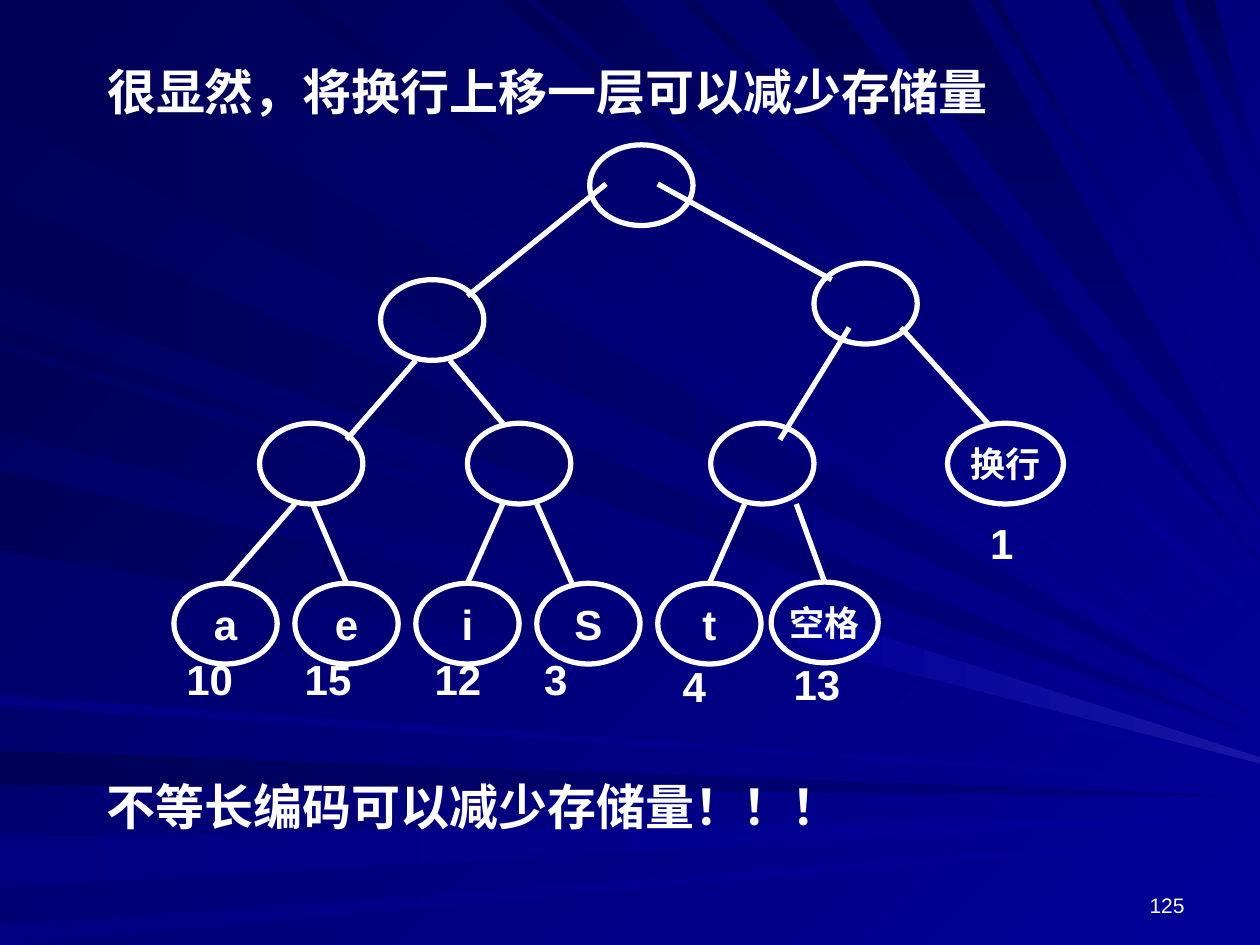
"""Build a slide showing a variable-length coding tree over blue rays."""
from dataclasses import dataclass

import pptx
import pptx.dml.color
import pptx.enum.shapes
import pptx.enum.text
import pptx.oxml.ns
import pptx.util
from lxml import etree

Inches, Pt = pptx.util.Inches, pptx.util.Pt
RGBColor = pptx.dml.color.RGBColor
PP_ALIGN, MSO_ANCHOR = pptx.enum.text.PP_ALIGN, pptx.enum.text.MSO_ANCHOR

WHITE = RGBColor(0xFF, 0xFF, 0xFF)
GLOW = RGBColor(0x16, 0x16, 0xA1)
BRIGHT = RGBColor(0, 0, 0x99)
MID = RGBColor(0, 0, 0x80)
SHADE = RGBColor(0, 0, 0x57)
LEFT, UP_LEFT, DOWN = 180, 225, 90
WIDTH, HEIGHT = 10, 7.5
NODE_W, NODE_H = 0.82, 0.64


@dataclass
class Fan:
    """Rays from one edge, each given as start, end and height of its tip."""
    from_top: bool
    start: RGBColor
    end: RGBColor
    angle: int
    rays: list


@dataclass
class Node:
    x: float
    y: float
    text: str = ""
    w: float = NODE_W
    size: int = 24
    inset: float = 0.1


@dataclass
class Edge:
    x1: float
    y1: float
    x2: float
    y2: float


@dataclass
class Count:
    x: float
    text: str
    y: float = 5.14


FANS = [
    Fan(False, MID, SHADE, LEFT, [(0.02, 0.93, 5.7), (1.59, 2.28, 5.85), (5.96, 6.23, 6.32)]),
    Fan(True, BRIGHT, SHADE, UP_LEFT, [
        (0.26, 1.01, 5.63), (3.98, 4.16, 5.18), (4.26, 4.92, 4.93), (5.4, 5.52, 4.4)]),
    Fan(True, SHADE, MID, DOWN, [
        (6.06, 6.61, 4.46), (6.86, 7.7, 4.1), (8.87, 9.3, 2.1), (9.39, 9.64, 1.4)]),
    Fan(False, BRIGHT, SHADE, UP_LEFT, [(2.58, 2.7, 5.89), (2.78, 3.42, 6), (3.74, 4.37, 6.06)]),
    Fan(True, BRIGHT, SHADE, UP_LEFT, [(2.25, 2.47, 5.5), (7.85, 7.92, 3.57), (8.65, 8.72, 2.5)]),
    Fan(False, BRIGHT, MID, LEFT, [(5.52, 5.6, 6.22), (6.65, 7.04, 6.48), (7.35, 7.5, 6.62)]),
]
BEAM = [(6.33, 5.11), (6.37, 4.85), (WIDTH, 6.01), (WIDTH, 6.06)]
INNER = [Node(4.68, 1.15), Node(3.02, 2.22), Node(6.46, 2.09)] + [Node(x, 3.36) for x in (2.06, 3.71, 5.64)]
LEAVES = [Node(1.38 + 0.96 * i, 4.63, letter) for i, letter in enumerate("aeiSt")] + [
    Node(6.12, 4.62, "空格", 0.85, 20, 0), Node(7.52, 3.36, "换行", 0.92, 20, 0)]
EDGES = [
    Edge(4.81, 1.46, 3.71, 2.35), Edge(5.22, 1.46, 6.6, 2.22),
    Edge(3.3, 2.86, 2.75, 3.49), Edge(3.57, 2.86, 3.99, 3.36),
    Edge(6.74, 2.6, 6.19, 3.49), Edge(7.15, 2.6, 7.84, 3.36),
    Edge(4.26, 4, 4.54, 4.63),
]
LEAF_BRANCHES = {"a": 2.34, "e": 2.48, "i": 3.99, "t": 5.91, "空格": 6.32}
COUNTS = [Count(1.38, "10"), Count(2.32, "15"), Count(3.35, "12"), Count(4.22, "3"),
          Count(5.32, "4", 5.19), Count(6.2, "13", 5.18), Count(7.76, "1", 4.06)]


def paint_gradient(fill, start: RGBColor, end: RGBColor, angle: int) -> None:
    """Fill with two colours running at a clockwise angle."""
    fill.gradient()
    fill.gradient_angle = 360 - angle
    for stop, color in zip(fill.gradient_stops, (start, end)):
        stop.color.rgb = color


def write(sp, text: str, size: int, align, anchor, font="Arial", bold=True, inset=0.1) -> None:
    """Put one formatted white run into a shape."""
    tf = sp.text_frame
    tf.word_wrap = True
    tf.auto_size = pptx.enum.text.MSO_AUTO_SIZE.NONE
    tf.vertical_anchor = anchor
    tf.margin_left = tf.margin_right = Inches(inset)
    tf.margin_top = tf.margin_bottom = Inches(0.05)
    p = tf.paragraphs[0]
    p.alignment = align
    p.space_before = Pt(0)
    p.line_spacing = 1.0
    r = p.add_run()
    r.text = text
    r.font.name, r.font.size, r.font.bold = font, Pt(size), bold
    r.font.color.rgb = WHITE


def add_text(s, x: float, y: float, w: float, h: float, *args, **style) -> None:
    """Add a text box."""
    write(s.shapes.add_textbox(Inches(x), Inches(y), Inches(w), Inches(h)), *args, **style)


def add_ray(s, points: list, start: RGBColor, end: RGBColor, angle: int) -> None:
    """Add one background ray."""
    first, *rest = [(Inches(x), Inches(y)) for x, y in points]
    builder = s.shapes.build_freeform(*first)
    builder.add_line_segments(rest, close=True)
    sp = builder.convert_to_shape()
    sp.shadow.inherit = False
    sp.line.fill.background()
    paint_gradient(sp.fill, start, end, angle)


def add_fan(s, fan: Fan) -> None:
    """Add rays that narrow from one edge to the right side."""
    for near, far, tip in fan.rays:
        base = [(near, 0), (far, 0)] if fan.from_top else [(0, near), (0, far)]
        add_ray(s, base + [(WIDTH, tip)], fan.start, fan.end, fan.angle)


def add_node(s, node: Node):
    """Add one tree node and return its shape."""
    sp = s.shapes.add_shape(pptx.enum.shapes.MSO_SHAPE.OVAL, Inches(node.x), Inches(node.y),
                            Inches(node.w), Inches(NODE_H))
    sp.shadow.inherit = False
    sp.fill.background()
    sp.line.color.rgb, sp.line.width = WHITE, Pt(3)
    if node.text:
        write(sp, node.text, node.size, PP_ALIGN.CENTER, MSO_ANCHOR.MIDDLE, inset=node.inset)
    return sp


def add_edge(s, edge: Edge, leaf=None) -> None:
    """Add one branch, joined to the top of its leaf if given."""
    line = s.shapes.add_connector(pptx.enum.shapes.MSO_CONNECTOR.STRAIGHT, Inches(edge.x1), Inches(edge.y1),
                                  Inches(edge.x2), Inches(edge.y2))
    if leaf is not None:
        line.end_connect(leaf, 0)
    line.line.color.rgb, line.line.width = WHITE, Pt(3)
    etree.SubElement(line.element.spPr, pptx.oxml.ns.qn("a:effectLst"))


def main() -> None:
    """Assemble and save the slide."""
    prs = pptx.Presentation()
    prs.slide_width, prs.slide_height = Inches(WIDTH), Inches(HEIGHT)
    s = prs.slides.add_slide(prs.slide_layouts[5])
    paint_gradient(s.background.fill, BRIGHT, SHADE, UP_LEFT)
    for fan in FANS:
        add_fan(s, fan)
    add_ray(s, BEAM, GLOW, BRIGHT, LEFT)
    for node in INNER:
        add_node(s, node)
    for edge in EDGES:
        add_edge(s, edge)
    for node in LEAVES:
        leaf = add_node(s, node)
        if node.text in LEAF_BRANCHES:
            add_edge(s, Edge(LEAF_BRANCHES[node.text], 4, node.x + node.w / 2, node.y), leaf)
    for count in COUNTS:
        add_text(s, count.x, count.y, 0.88, 0.54, count.text, 24, PP_ALIGN.JUSTIFY, MSO_ANCHOR.TOP)
    title = s.shapes.title
    title.left, title.top, title.width, title.height = Inches(0.75), Inches(0.44), Inches(7.95), Inches(0.57)
    heading = (28, PP_ALIGN.LEFT, MSO_ANCHOR.TOP, "Times New Roman")
    write(title, "很显然，将换行上移一层可以减少存储量", *heading)
    title.element.getparent().append(title.element)
    add_text(s, 0.75, 6.11, 8.19, 0.57, "不等长编码可以减少存储量！！！", *heading)
    add_text(s, 7.17, 6.83, 2.33, 0.5, "125", 12, PP_ALIGN.RIGHT, MSO_ANCHOR.BOTTOM, bold=False)
    prs.save("out.pptx")


if __name__ == "__main__":
    main()
